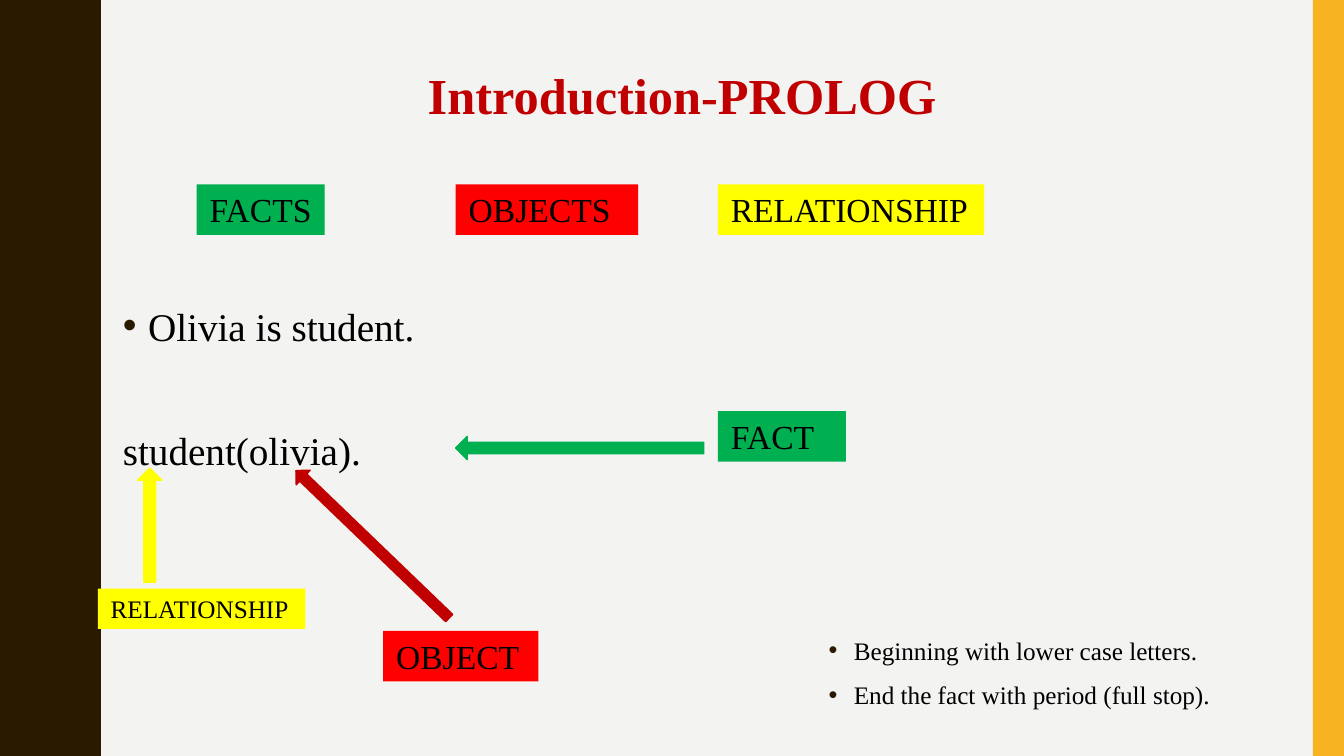
from lxml import etree
from pptx import Presentation
from pptx import util as u
from pptx.dml.color import RGBColor
from pptx.enum import shapes, text
from pptx.oxml import ns

BROWN = RGBColor(0x2A, 0x1A, 0x00)
AMBER = RGBColor(0xF8, 0xB3, 0x23)
PAPER = RGBColor(0xF3, 0xF3, 0xF2)
GREEN = RGBColor(0x00, 0xB0, 0x50)
RED = RGBColor(0xFF, 0x00, 0x00)
DARK_RED = RGBColor(0xC0, 0x00, 0x00)
YELLOW = RGBColor(0xFF, 0xFF, 0x00)
BLACK = RGBColor(0x00, 0x00, 0x00)

WIDTH, HEIGHT = 13.33, 7.5
FONT = "Times New Roman"
LEFT, MIDDLE, RIGHT = 1.95, 4.52, 7.12
TERM_ROW, FACT_ROW, OBJECT_ROW, RELATION_ROW = 1.83, 4.08, 6.26, 5.84

TITLE = "Introduction-PROLOG"
LABELS = [
    ("FACTS", LEFT, TERM_ROW, 1.27, 0.5, GREEN, 24),
    ("OBJECTS", MIDDLE, TERM_ROW, 1.81, 0.5, RED, 24),
    ("RELATIONSHIP", RIGHT, TERM_ROW, 2.64, 0.5, YELLOW, 24),
    ("FACT", RIGHT, FACT_ROW, 1.27, 0.5, GREEN, 24),
    ("OBJECT", 3.8, OBJECT_ROW, 1.54, 0.5, RED, 24),
    ("RELATIONSHIP", 0.97, RELATION_ROW, 2.06, 0.4, YELLOW, 18),
]
ARROWS = [
    (MIDDLE, 4.33, 2.46, 0.23, 0, GREEN),
    (2.64, 5.3, 2.11, 0.2, 43.9, DARK_RED),
    (0.92, 5.09, 1.13, 0.24, 90, YELLOW),
]
EXAMPLE = [("Olivia is student.", True), ("student(olivia).", False)]
RULES = [
    ("Beginning with lower case letters.", True),
    ("End the fact with period (full stop).", True),
]

WAVE_PERIOD = 1.5
WAVE_BASE, WAVE_CREST = 0.78, 0.97
QUARTER_WAVE = [(0.78, 0), (0.78, 0.07), (0.79, 0.14), (0.8, 0.2),
                (0.81, 0.25), (0.83, 0.29), (0.85, 0.33)]


def write(frame, lines, size, color=BLACK, bold=False, align=text.PP_ALIGN.LEFT,
          indent=0.0, spacing=1.0, gap=0, insets=(0.1, 0.05, 0.1, 0.05)):
    frame.word_wrap = True
    frame.vertical_anchor = text.MSO_ANCHOR.TOP
    (frame.margin_left, frame.margin_top,
     frame.margin_right, frame.margin_bottom) = map(u.Inches, insets)
    for row, (line, bulleted) in enumerate(lines):
        paragraph = frame.add_paragraph() if row else frame.paragraphs[0]
        properties = paragraph._p.get_or_add_pPr()
        properties.set("marL", str(u.Inches(0.25 if bulleted else indent)))
        properties.set("indent", str(u.Inches(-0.25 if bulleted else 0)))
        if bulleted:
            tint = etree.SubElement(properties, ns.qn("a:buClr"))
            etree.SubElement(tint, ns.qn("a:srgbClr"), val=str(BROWN))
            etree.SubElement(properties, ns.qn("a:buFont"), typeface="Arial")
            etree.SubElement(properties, ns.qn("a:buChar"), char="•")
        paragraph.alignment = align
        paragraph.line_spacing = spacing
        paragraph.space_before = u.Pt(gap if row else 0)
        run = paragraph.add_run()
        run.text = line
        run.font.name, run.font.size, run.font.bold = FONT, u.Pt(size), bold
        run.font.color.rgb = color


def paint(part, fill, line=None):
    part.shadow.inherit = False
    part.fill.solid()
    part.fill.fore_color.rgb = fill
    if line is None:
        part.line.fill.background()
    else:
        part.line.color.rgb = line
        part.line.width = u.Pt(1)
    return part


def wave_edge():
    mirror = WAVE_BASE + WAVE_CREST
    half = WAVE_PERIOD / 2
    rise = QUARTER_WAVE + [(mirror / 2, half / 2)]
    rise += [(mirror - x, half - y) for x, y in reversed(QUARTER_WAVE)]
    period = rise + [(x, WAVE_PERIOD - y) for x, y in reversed(rise[1:-1])]
    edge = [(x, y + WAVE_PERIOD * turn)
            for turn in range(int(HEIGHT / WAVE_PERIOD)) for x, y in period]
    return edge + [(WAVE_BASE, HEIGHT), (0, HEIGHT)]


def main():
    deck = Presentation()
    deck.slide_width, deck.slide_height = u.Inches(WIDTH), u.Inches(HEIGHT)
    slide = deck.slides.add_slide(deck.slide_layouts[5])
    slide.background.fill.solid()
    slide.background.fill.fore_color.rgb = PAPER
    canvas = slide.shapes

    wave = canvas.build_freeform(0, 0, scale=u.Inches(1))
    wave.add_line_segments(wave_edge(), close=True)
    paint(wave.convert_to_shape(), BROWN)

    def block(kind, left, top, width, height, fill, line=None):
        part = canvas.add_shape(kind, *map(u.Inches, (left, top, width, height)))
        return paint(part, fill, line)

    block(shapes.MSO_SHAPE.RECTANGLE, 13.02, 0, 0.31, HEIGHT, AMBER)

    heading = canvas.title
    heading.left, heading.top, heading.width, heading.height = map(
        u.Inches, (2.44, 0.55, 8.65, 0.65))
    write(heading.text_frame, [(TITLE, False)], 36, color=DARK_RED, bold=True,
          align=text.PP_ALIGN.CENTER, insets=(0, 0.09, 0, 0))

    example = canvas.add_textbox(*map(u.Inches, (1.12, 2.9, 11.13, 1.77)))
    write(example.text_frame, EXAMPLE, 28, spacing=1.1, gap=52)

    for left, top, width, height, angle, color in ARROWS:
        arrow = block(shapes.MSO_SHAPE.LEFT_ARROW, left, top, width, height,
                      color, color)
        arrow.rotation = angle

    for term, left, top, width, height, color, size in LABELS:
        label = block(shapes.MSO_SHAPE.RECTANGLE, left, top, width, height, color)
        write(label.text_frame, [(term, False)], size, indent=0.03)

    rules = canvas.add_textbox(*map(u.Inches, (8.12, 6.22, 4.42, 1.27)))
    write(rules.text_frame, RULES, 18, spacing=1.1, gap=8)

    deck.save("out.pptx")


if __name__ == "__main__":
    main()
